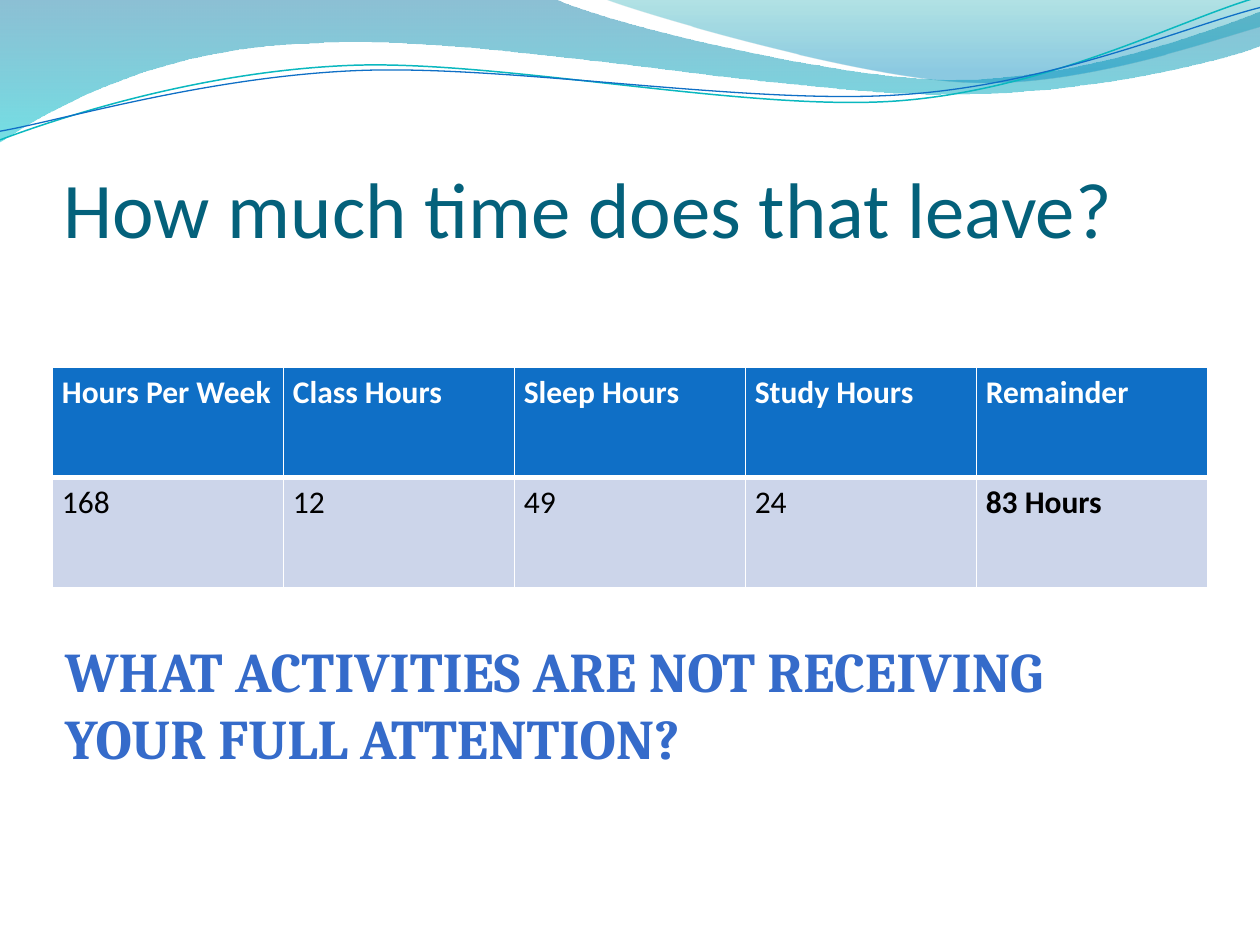
import pptx
import pptx.dml.color
import pptx.enum.text
import pptx.oxml
import pptx.oxml.ns
import pptx.util

Pt = pptx.util.Pt
qn = pptx.oxml.ns.qn
WHITE = "FFFFFF"
BLUE = "0F6FC6"

TITLE = "How much time does that leave?"
QUESTION = "WHAT ACTIVITIES ARE NOT RECEIVING YOUR FULL ATTENTION?"
HOURS = [
    ["Hours Per Week", "Class Hours", "Sleep Hours", "Study Hours", "Remainder"],
    ["168", "12", "49", "24", "83 Hours"],
]

# Outlines in points: a pair is a straight step, six numbers a Bezier curve.
# Gradient stops: position in percent, colour, opacity in percent.
BANDS = [
    ([(0, 0), (316.8, -0.7),
      (342.7, 12.2, 478, 45.4, 545.8, 45.4),
      (614.2, 45.4, 689.8, 18.7, 720, 6.5), (720.7, 25.9),
      (707.8, 31.7, 626.4, 54.7, 537.1, 54),
      (447.8, 54, 275, 20.2, 185, 24.5),
      (92.9, 25.9, 33.1, 59.8, -0.7, 81.4)],
     [(0, "0074A1", 45), (100, "00C6CF", 55)]),
    ([(344.9, -0.7),
      (366.5, 7.9, 491, 44.6, 553.7, 46.8),
      (616.3, 49.7, 691.9, 23, 720, 15.1), (720, 0)],
     [(0, "00A1A9", 30), (80, "008BBF", 45)]),
]
WAVE_TILT = -2.7
WAVES = [
    ([(-1.4, 63),
      (33.8, 51.7, 114.1, 29.4, 199.8, 29.9),
      (284.9, 30.3, 425.8, 67.3, 512.4, 64.9),
      (599, 62.4, 676.5, 25.7, 720.2, 15.5)], "0AB8BF", 0.85),
    ([(-1.1, 58),
      (32.9, 53.8, 118.3, 32.5, 204.1, 33),
      (290.6, 33.4, 428.9, 63.8, 515.5, 61.4),
      (601.3, 59.6, 678.4, 30.1, 721.4, 21.3)], BLUE, 0.75),
]


def rgb(value):
    return pptx.dml.color.RGBColor.from_string(value)


def add_outline(s, outline, close):
    """Draw through all the points, then join each curve's three into one Bezier."""
    points = [(Pt(seg[i]), Pt(seg[i + 1]))
              for seg in outline for i in range(0, len(seg), 2)]
    builder = s.shapes.build_freeform(*points[0])
    builder.add_line_segments(points[1:], close=close)
    sp = builder.convert_to_shape()
    sp.shadow.inherit = False
    steps = iter(list(sp.element.iter(qn("a:lnTo"))))
    for seg in outline[1:]:
        step = next(steps)
        if len(seg) == 6:
            curve = step.makeelement(qn("a:cubicBezTo"), {})
            step.addprevious(curve)
            for part in (step, next(steps), next(steps)):
                curve.append(part[0])
                part.getparent().remove(part)
    return sp


def add_band(s, outline, stops):
    sp = add_outline(s, outline, True)
    sp.line.fill.background()
    sp.fill.gradient()
    sp.fill.gradient_angle = 270
    for stop, (position, color, _) in zip(sp.fill.gradient_stops, stops):
        stop.position = position / 100
        stop.color.rgb = rgb(color)
    colors = sp.element.spPr.find(qn("a:gradFill")).iter(qn("a:srgbClr"))
    for clr, (_, _, opacity) in zip(list(colors), stops):
        clr.append(clr.makeelement(qn("a:alpha"), {"val": str(opacity * 1000)}))


def add_wave(s, outline, color, width):
    sp = add_outline(s, outline, False)
    sp.rotation = WAVE_TILT
    sp.fill.background()
    sp.line.color.rgb = rgb(color)
    sp.line.width = Pt(width)


def style(p, font, size, color, bold=False):
    for r in p.runs:
        r.font.name = font
        r.font.size = Pt(size)
        r.font.bold = bold
        r.font.color.rgb = rgb(color)


def add_text(s, box, text, font, size, color, bold=False):
    tf = s.shapes.add_textbox(*map(Pt, box)).text_frame
    tf.word_wrap = True
    tf.text = text
    style(tf.paragraphs[0], font, size, color, bold)
    return tf


def set_borders(cell, widths):
    tcPr = cell._tc.get_or_add_tcPr()
    for i, (side, width) in enumerate(widths.items()):
        tcPr.insert(i, pptx.oxml.parse_xml(
            f'<a:{side} xmlns:a="http://schemas.openxmlformats.org/drawingml/2006/main"'
            f' w="{Pt(width)}"><a:solidFill><a:srgbClr val="{WHITE}"/></a:solidFill>'
            f'</a:{side}>'))


def add_hours_table(s):
    rows, cols = len(HOURS), len(HOURS[0])
    table = s.shapes.add_table(rows, cols, Pt(30), Pt(210), Pt(660), Pt(126)).table
    for i, values in enumerate(HOURS):
        header = i == 0
        for j, value in enumerate(values):
            cell = table.cell(i, j)
            cell.margin_left = cell.margin_right = Pt(5.4)
            cell.margin_top = cell.margin_bottom = 0
            cell.fill.solid()
            cell.fill.fore_color.rgb = rgb(BLUE if header else "CCD5EA")
            set_borders(cell, {"lnL": 1, "lnR": 1, "lnT": 1 if header else 3,
                               "lnB": 3 if header else 1})
            p = cell.text_frame.paragraphs[0]
            p.text = value
            p.line_spacing = 1.15
            p.space_after = Pt(10)
            style(p, "Calibri", 18, WHITE if header else "000000",
                  header or j == cols - 1)


def main():
    prs = pptx.Presentation()
    prs.slide_width, prs.slide_height = Pt(720), Pt(540)
    s = prs.slides.add_slide(prs.slide_layouts[6])
    for band in BANDS:
        add_band(s, *band)
    for wave in WAVES:
        add_wave(s, *wave)
    tf = add_text(s, (36.3, 55.5, 648, 90), TITLE, "Calibri", 45, "04617B")
    tf.margin_left = tf.margin_right = tf.margin_bottom = 0
    tf.vertical_anchor = pptx.enum.text.MSO_ANCHOR.BOTTOM
    add_hours_table(s)
    add_text(s, (30, 360, 660, 85), QUESTION, "Cambria", 32, "356BCA", True)
    prs.save("out.pptx")


if __name__ == "__main__":
    main()
